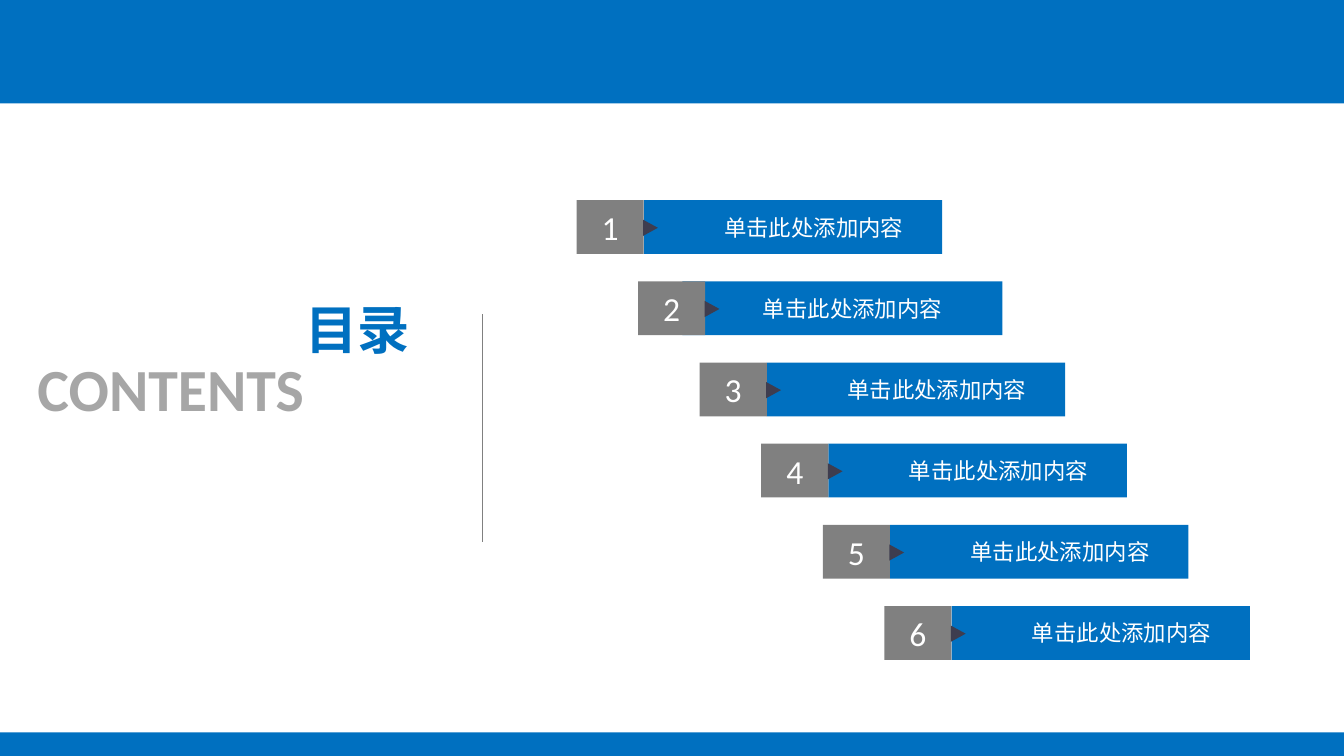
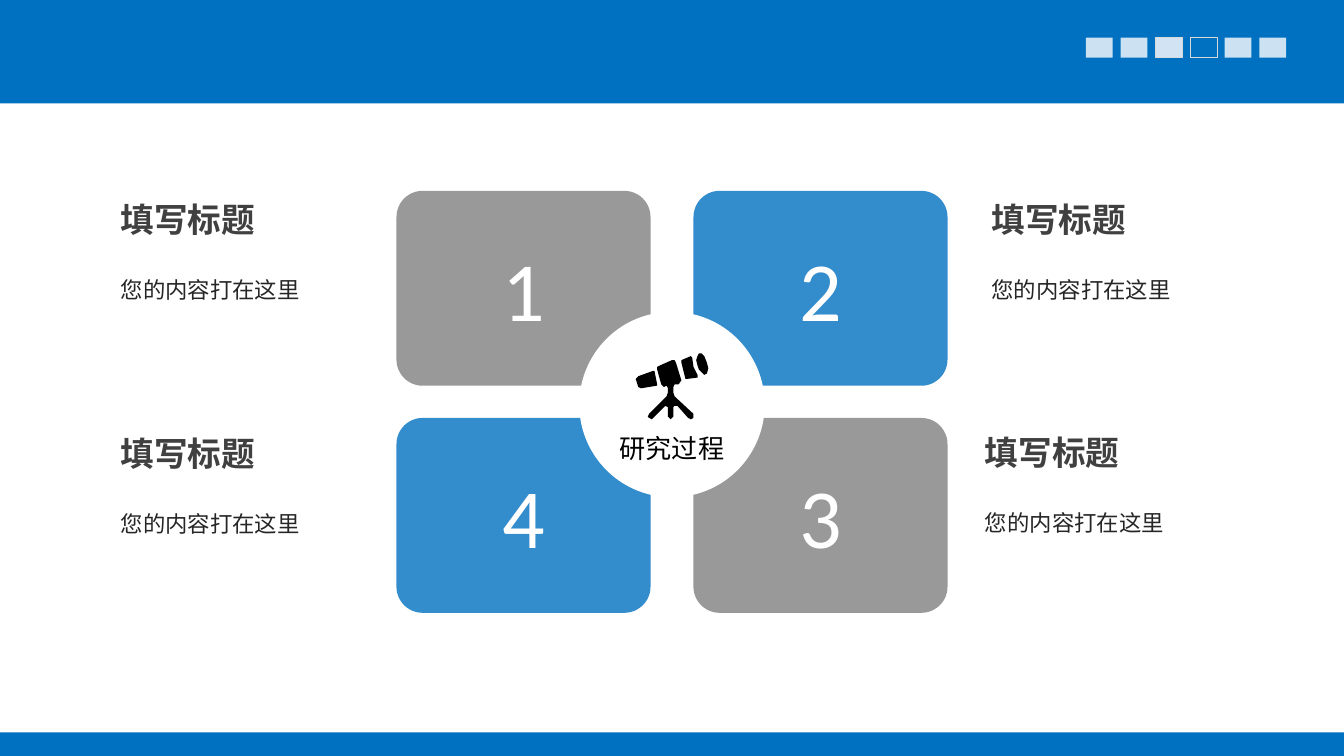
from lxml.etree import SubElement
from pptx import Presentation
from pptx.dml.color import RGBColor
from pptx.enum.shapes import MSO_CONNECTOR, MSO_SHAPE
from pptx.enum.text import MSO_ANCHOR, MSO_AUTO_SIZE, PP_ALIGN
from pptx.oxml.ns import qn
from pptx.util import Inches, Pt

COLORS = {
    "blue": "0070C0",
    "gray": "808080",
    "light_gray": "A6A6A6",
    "outline": "D9D9D9",
    "pale_blue": "D2E3F3",
    "arrow": "3E3D4F",
    "heading": "404040",
    "body": "262626",
    "white": "FFFFFF",
    "black": "000000",
}
FONT = "Calibri"


def add_box(shapes, kind, left, top, width, height, fill=None, alpha=None):
    shape = shapes.add_shape(kind, Inches(left), Inches(top), Inches(width), Inches(height))
    shape.shadow.inherit = False
    shape.line.fill.background()
    if fill is None:
        shape.fill.background()
        return shape
    shape.fill.solid()
    shape.fill.fore_color.rgb = RGBColor.from_string(COLORS[fill])
    if alpha:
        color = shape.fill._xPr.find(qn("a:solidFill"))[0]
        SubElement(color, qn("a:alpha"), val=str(alpha * 1000))
    return shape


def write(shape, text, size, color, bold=False, align=PP_ALIGN.LEFT, at=None, wrap=True, inset=0.1):
    text_frame = shape.text_frame
    text_frame.text = text
    text_frame.word_wrap = wrap
    text_frame.margin_left = text_frame.margin_right = Inches(inset)
    text_frame.margin_top = text_frame.margin_bottom = Inches(inset / 2)
    if at:
        shape.left, shape.top, shape.width, shape.height = [Inches(value) for value in at]
        text_frame.auto_size = MSO_AUTO_SIZE.SHAPE_TO_FIT_TEXT
        text_frame.vertical_anchor = MSO_ANCHOR.TOP
    paragraph = text_frame.paragraphs[0]
    paragraph.alignment = align
    font = paragraph.runs[0].font
    font.name = FONT
    font.size = Pt(size)
    font.bold = bold
    font.color.rgb = RGBColor.from_string(COLORS[color])
    return paragraph


presentation = Presentation()
presentation.slide_width = Inches(10)
presentation.slide_height = Inches(10 * 9 / 16)

contents = presentation.slides.add_slide(presentation.slide_layouts[5])
master_tree = presentation.slide_master.shapes._spTree
for position, (top, height) in enumerate([(0, 0.77), (5.45, 0.17)]):
    band = add_box(contents.shapes, MSO_SHAPE.RECTANGLE, 0, top, 10, height, "blue")
    master_tree.insert(2 + position, band._element)
band.height = presentation.slide_height - band.top

write(contents.shapes.title, "目录", 28, "blue", bold=True, at=(2.17, 2.16, 0.99, 0.57), wrap=False)
subtitle = contents.shapes.add_textbox(0, 0, 0, 0)
write(subtitle, "CONTENTS", 32, "light_gray", bold=True, at=(0.18, 2.57, 3.42, 0.64))

divider = contents.shapes.add_connector(
    MSO_CONNECTOR.STRAIGHT, Inches(3.59), Inches(2.34), Inches(3.59), Inches(4.03)
)
divider.line.color.rgb = RGBColor.from_string(COLORS["gray"])
divider.line.width = Pt(0.5)
SubElement(divider._element.spPr, qn("a:effectLst"))

for index in range(6):
    left = 4.29 + index * (6.58 - 4.29) / 5
    top = 1.49 + index * (4.51 - 1.49) / 5
    bar_offset = 0.33 if index == 1 else 0.5
    bar_width = 2.38 if index == 1 else 2.22
    item = contents.shapes.add_group_shape()
    bar = add_box(item.shapes, MSO_SHAPE.RECTANGLE, left + bar_offset, top, bar_width, 0.4, "blue")
    paragraph = write(bar, "单击此处添加内容", 12, "white")
    paragraph._p.get_or_add_pPr().set("indent", str(Inches(0.5)))
    number = add_box(item.shapes, MSO_SHAPE.RECTANGLE, left, top, 0.5, 0.4, "gray")
    write(number, str(index + 1), 18, "white", align=PP_ALIGN.CENTER)
    arrow = add_box(
        item.shapes, MSO_SHAPE.ISOSCELES_TRIANGLE, left + 0.49, top + 0.15, 0.12, 0.11, "arrow"
    )
    arrow.rotation = 90

process = presentation.slides.add_slide(presentation.slide_layouts[6])

cards = [
    ("1", 2.95, 1.42, "gray"),
    ("2", 5.16, 1.42, "blue"),
    ("4", 2.95, 3.11, "blue"),
    ("3", 5.16, 3.11, "gray"),
]
for label, left, top, fill in cards:
    group = process.shapes.add_group_shape()
    card = add_box(group.shapes, MSO_SHAPE.ROUNDED_RECTANGLE, left, top, 1.89, 1.45, fill, 80)
    card.adjustments[0] = 0.134
    number = group.shapes.add_textbox(0, 0, 0, 0)
    write(number, label, 45, "white", align=PP_ALIGN.CENTER,
          at=(left + 0.34, top + 0.31, 1.21, 0.83), inset=0.07)

for left, top in [(0.8, 1.51), (0.8, 3.25), (7.28, 1.51), (7.23, 3.24)]:
    group = process.shapes.add_group_shape()
    body = group.shapes.add_textbox(0, 0, 0, 0)
    paragraph = write(body, "您的内容打在这里", 12, "body", at=(left, top + 0.46, 1.96, 0.34))
    paragraph.line_spacing = Pt(17.2)
    heading = group.shapes.add_textbox(0, 0, 0, 0)
    paragraph = write(heading, "填写标题", 18, "heading", bold=True, at=(left, top, 1.54, 0.33))
    paragraph.line_spacing = Pt(16)

hub = process.shapes.add_group_shape()
add_box(hub.shapes, MSO_SHAPE.OVAL, 4.31, 2.32, 1.38, 1.38, "white")
telescope_parts = [
    [(514, 265), (507, 268), (507, 270), (510, 282), (511, 282), (519, 281), (519, 279),
     (516, 273), (515, 266)],
    [(522, 263), (520, 263), (519, 265), (518, 268), (519, 272), (520, 275), (522, 277),
     (524, 279), (526, 278), (527, 274), (526, 270), (524, 265)],
    [(477, 289), (489, 287), (489, 286), (487, 276), (486, 276), (475, 280), (473, 282),
     (474, 285), (475, 288)],
    [(512, 311), (514, 312), (516, 311), (516, 308), (502, 295), (501, 292), (501, 288),
     (502, 286), (505, 286), (507, 283), (503, 270), (502, 268), (500, 268), (491, 272),
     (489, 273), (489, 275), (492, 286), (494, 288), (496, 287), (497, 289), (497, 292),
     (496, 295), (483, 308), (482, 310), (483, 311), (485, 312), (486, 311), (495, 302),
     (497, 303), (497, 310), (499, 312), (501, 310), (501, 303), (502, 302), (504, 302)],
]
for points in telescope_parts:
    builder = hub.shapes.build_freeform(*points[0], scale=Inches(0.01))
    builder.add_line_segments(points[1:], close=True)
    part = builder.convert_to_shape()
    part.shadow.inherit = False
    part.fill.solid()
    part.fill.fore_color.rgb = RGBColor.from_string(COLORS["black"])
    part.line.fill.background()
caption = hub.shapes.add_textbox(0, 0, 0, 0)
write(caption, "研究过程", 14, "black", at=(4.54, 3.18, 0.94, 0.31), wrap=False, inset=0.07)

marker_styles = [
    ("white", 80, None),
    ("white", 80, None),
    ("pale_blue", None, 0.5),
    (None, None, 0.25),
    ("white", 80, None),
    ("white", 80, None),
]
for index, (fill, alpha, line_width) in enumerate(marker_styles):
    left = 8.08 + index * (9.37 - 8.08) / 5
    marker = add_box(process.shapes, MSO_SHAPE.RECTANGLE, left, 0.28, 0.2, 0.15, fill, alpha)
    if line_width:
        marker.line.color.rgb = RGBColor.from_string(COLORS["outline"])
        marker.line.width = Pt(line_width)

presentation.save("out.pptx")
